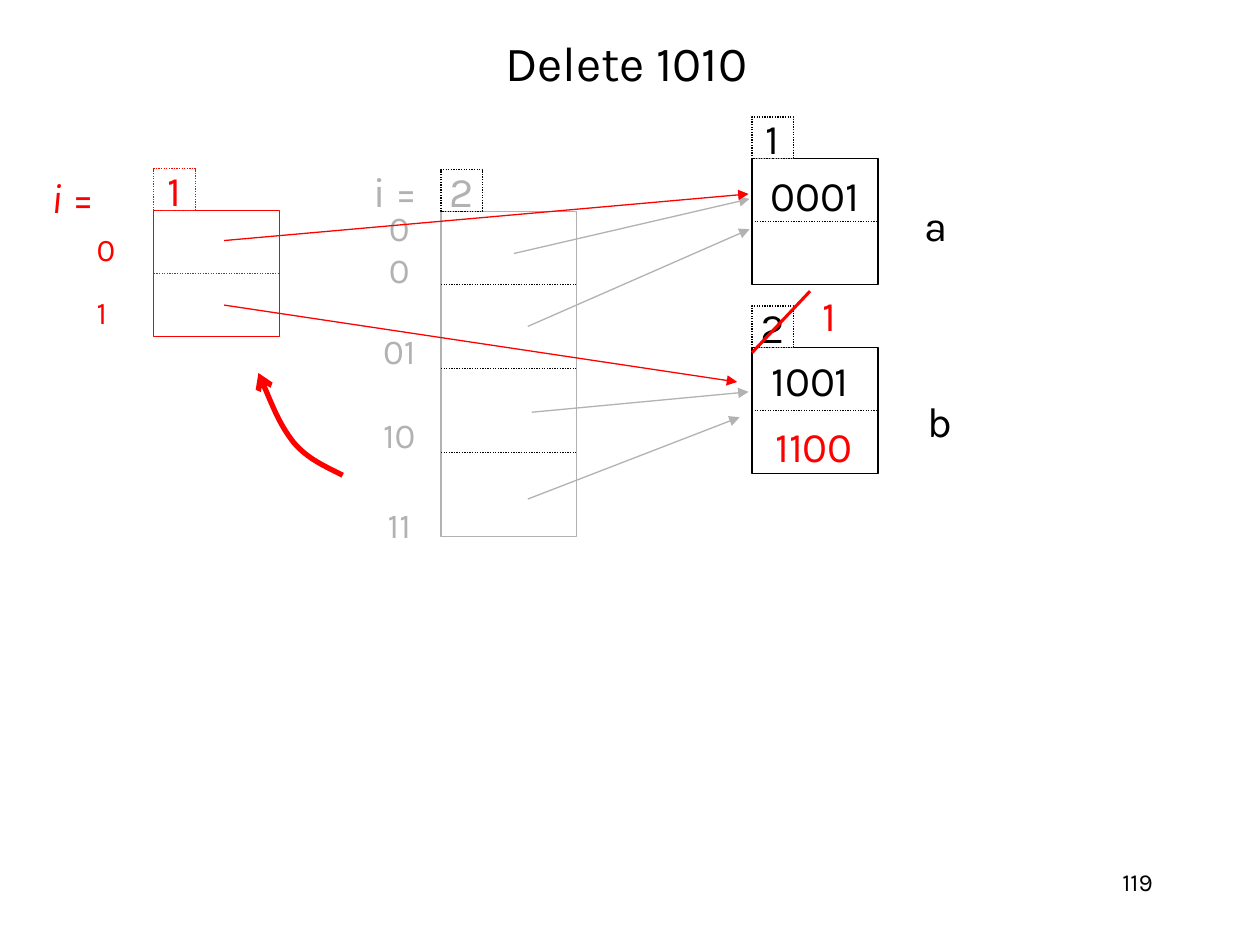
from lxml import etree
from pptx import Presentation
from pptx.dml.color import RGBColor
from pptx.enum.dml import MSO_LINE
from pptx.enum.shapes import MSO_CONNECTOR, MSO_SHAPE
from pptx.enum.text import MSO_ANCHOR, PP_ALIGN
from pptx.oxml.ns import qn
from pptx.util import Cm, Pt

BLACK = RGBColor(0x00, 0x00, 0x00)
WHITE = RGBColor(0xFF, 0xFF, 0xFF)
GREY = RGBColor(0xB2, 0xB2, 0xB2)
RED = RGBColor(0xFF, 0x00, 0x00)
LEFT, CENTER, RIGHT = PP_ALIGN.LEFT, PP_ALIGN.CENTER, PP_ALIGN.RIGHT
TOP, MIDDLE = MSO_ANCHOR.TOP, MSO_ANCHOR.MIDDLE
DOTTED = MSO_LINE.ROUND_DOT
STRAIGHT, RECTANGLE = MSO_CONNECTOR.STRAIGHT, MSO_SHAPE.RECTANGLE
FONT = "Karla"
TAG = 0.84
BUCKET = 2.54


def write(shape, text, size, colour, align=CENTER, anchor=MIDDLE, wrap=False):
    """Fill a shape with one paragraph for each line of text."""
    frame = shape.text_frame
    frame.word_wrap = wrap
    frame.vertical_anchor = anchor
    frame.text = text
    for para in frame.paragraphs:
        para.alignment = align
        for span in para.runs:
            for name, value in {"name": FONT, "size": Pt(size)}.items():
                setattr(span.font, name, value)
            span.font.color.rgb = colour


def add_line(start, end, colour, width=0.75, dash=None, head=None):
    """Draw a straight line, with an arrowhead at its end if one is named."""
    line = page.shapes.add_connector(STRAIGHT, *map(Cm, start + end))
    line.line.color.rgb = colour
    line.line.width = Pt(width)
    line.line.dash_style = dash
    if head:
        etree.SubElement(line.line._get_or_add_ln(), qn("a:tailEnd"), type=head)
    etree.SubElement(line._element.spPr, qn("a:effectLst"))
    return line


deck = Presentation()
deck.slide_width, deck.slide_height = Cm(25.4), Cm(19.05)
page = deck.slides.add_slide(deck.slide_layouts[6])

# Blocks with their depth tags: left, top, width, height, line, tag, tag line, tag text
blocks = [
    (15.16, 3.2, BUCKET, BUCKET, BLACK, "1", BLACK, BLACK),
    (15.16, 7.01, BUCKET, BUCKET, BLACK, "2", BLACK, BLACK),
    (8.89, 4.26, 2.74, 6.55, GREY, "2", BLACK, GREY),
    (3.1, 4.24, BUCKET, BUCKET, RED, "1", RED, RED),
]
for left, top, width, height, edge, depth, tag_edge, ink in blocks:
    body = page.shapes.add_shape(RECTANGLE, Cm(left), Cm(top), Cm(width), Cm(height))
    tag = page.shapes.add_shape(RECTANGLE, Cm(left), Cm(top - TAG), Cm(TAG), Cm(TAG))
    for shape, colour in ((body, edge), (tag, tag_edge)):
        shape.shadow.inherit = False
        shape.fill.solid()
        shape.fill.fore_color.rgb = WHITE
        shape.line.color.rgb = colour
        shape.line.width = Pt(0.75)
    tag.line.dash_style = DOTTED
    write(tag, depth, 24, ink)
    if height == BUCKET:
        middle = top + height / 2
        divider = add_line((left, middle), (left + width, middle), edge, dash=DOTTED)
        divider.begin_connect(body, 1)
        divider.end_connect(body, 3)
    else:
        for row in range(3):
            y = 5.74 + 1.69 * row
            add_line((left, y), (left + width, y), BLACK, dash=DOTTED)

# Labels: text, left, top, width, height, size, colour, alignment, anchor
labels = [
    ("Delete 1010", 1.83, 0.43, 21.59, 1.65, 28, BLACK, CENTER, MIDDLE),
    ("119", 18.21, 17.35, 5.28, 1.27, 14, BLACK, RIGHT, TOP),
    ("0001", 15.21, 3.3, 2.44, 1.27, 24, BLACK, CENTER, MIDDLE),
    ("1001", 15.11, 7.01, 2.44, 1.27, 24, BLACK, CENTER, MIDDLE),
    ("1100", 15.19, 8.36, 2.44, 1.27, 24, RED, CENTER, MIDDLE),
    ("i =", 7.26, 3.2, 1.42, 1.27, 24, GREY, CENTER, MIDDLE),
    ("a", 18.39, 3.89, 0.97, 1.27, 24, BLACK, LEFT, TOP),
    ("b", 18.44, 7.85, 1.02, 1.27, 24, BLACK, LEFT, TOP),
    ("1", 16.33, 5.72, 0.99, 1.27, 24, RED, LEFT, TOP),
    ("0", 1.7, 4.52, 0.86, 1.02, 18, RED, LEFT, TOP),
    ("1", 1.7, 5.79, 0.86, 1.02, 18, RED, LEFT, TOP),
]
for text, left, top, width, height, size, colour, align, anchor in labels:
    box = page.shapes.add_textbox(Cm(left), Cm(top), Cm(width), Cm(height))
    write(box, text, size, colour, align, anchor, wrap=width > 5)

depth_box = page.shapes.add_textbox(Cm(0.79), Cm(3.33), Cm(1.42), Cm(1.27))
depth_box.text_frame.paragraphs[0].add_run()
write(depth_box, "i", 24, RED, LEFT, TOP)
para = depth_box.text_frame.paragraphs[0]
para.runs[0].font.italic = True
span = para.add_run()
span.text = " ="
for name, value in {"name": FONT, "size": Pt(24), "italic": False}.items():
    setattr(span.font, name, value)
span.font.color.rgb = RED

# The narrow box breaks the first index over two lines
index_box = page.shapes.add_textbox(Cm(7.39), Cm(4.45), Cm(1.32), Cm(6.25))
write(index_box, "00\n01\n10\n11", 20, GREY, wrap=True)
for para, spacing in zip(index_box.text_frame.paragraphs[1:], (1.4, 1.5, 1.6)):
    para.space_before = Pt(12.5)
    para.line_spacing = spacing

# Pointers from directory entries to buckets
pointers = [
    ((10.36, 5.11), (15.11, 4.01), GREY),
    ((10.64, 6.58), (15.11, 4.62), GREY),
    ((10.72, 8.31), (15.09, 7.9), GREY),
    ((10.64, 10.06), (14.91, 8.41), GREY),
    ((4.52, 4.85), (15.09, 3.91), RED),
    ((4.52, 6.15), (14.86, 7.7), RED),
]
for start, end, colour in pointers:
    add_line(start, end, colour, head="triangle")
add_line((15.16, 7.11), (16.33, 5.87), RED, width=1.75)

# Curved arrow: a start point, then three points for each Bézier segment
curve = [(6.91, 9.58), (6.55, 9.4), (6.2, 9.25), (5.92, 8.92),
         (5.64, 8.56), (5.44, 8.05), (5.21, 7.52)]
points = [(Cm(x), Cm(y)) for x, y in curve]
builder = page.shapes.build_freeform(*points[0])
builder.add_line_segments(points[1:], close=False)
arrow = builder.convert_to_shape()
outline = arrow._element.find(".//" + qn("a:path"))
steps = outline.findall(qn("a:lnTo"))
for first in range(0, len(steps), 3):
    bezier = etree.SubElement(outline, qn("a:cubicBezTo"))
    for step in steps[first:first + 3]:
        bezier.append(step[0])
        outline.remove(step)
arrow.shadow.inherit = False
arrow.fill.background()
arrow.line.color.rgb = RED
arrow.line.width = Pt(3)
etree.SubElement(arrow.line._get_or_add_ln(), qn("a:tailEnd"), type="arrow")

deck.save("out.pptx")
